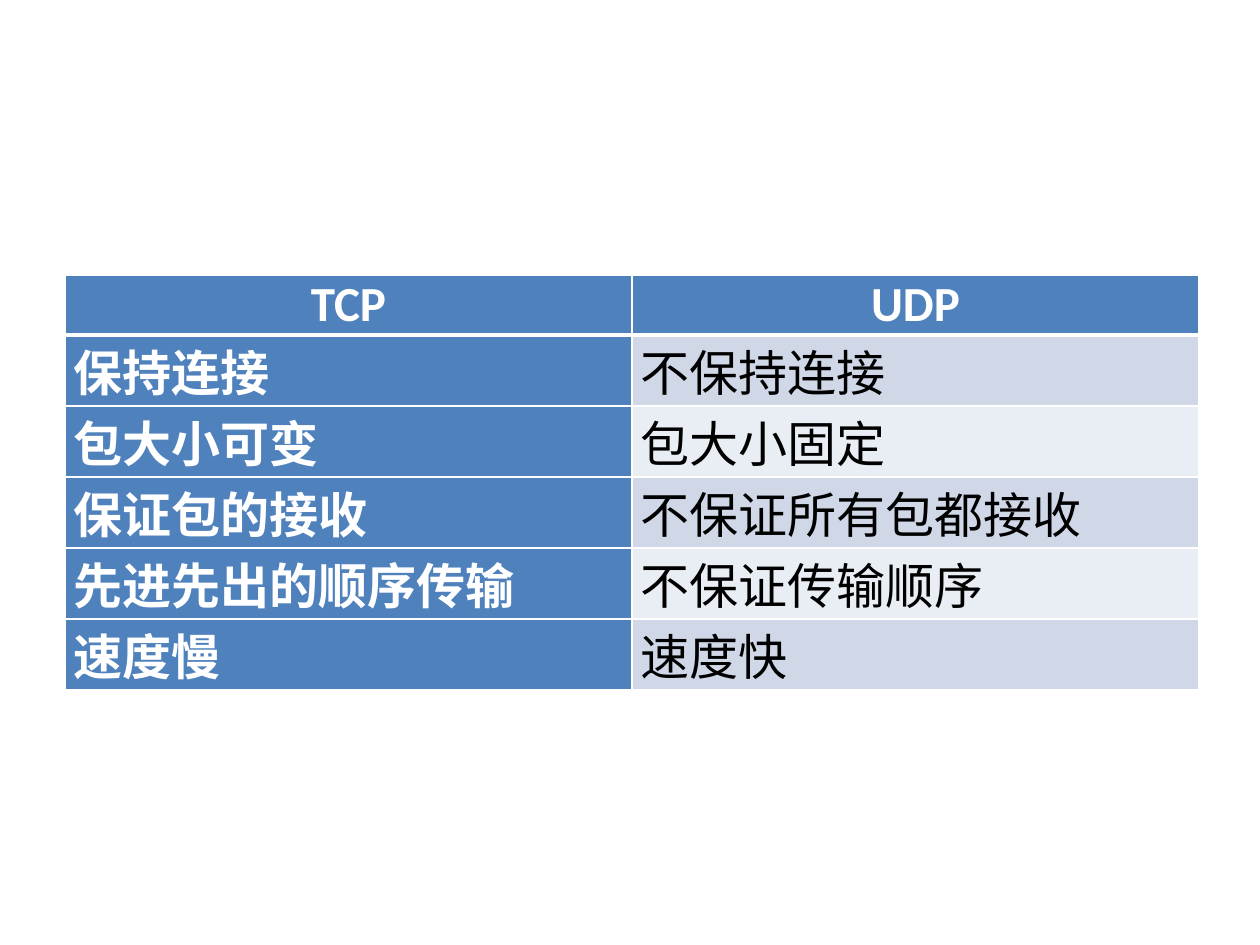
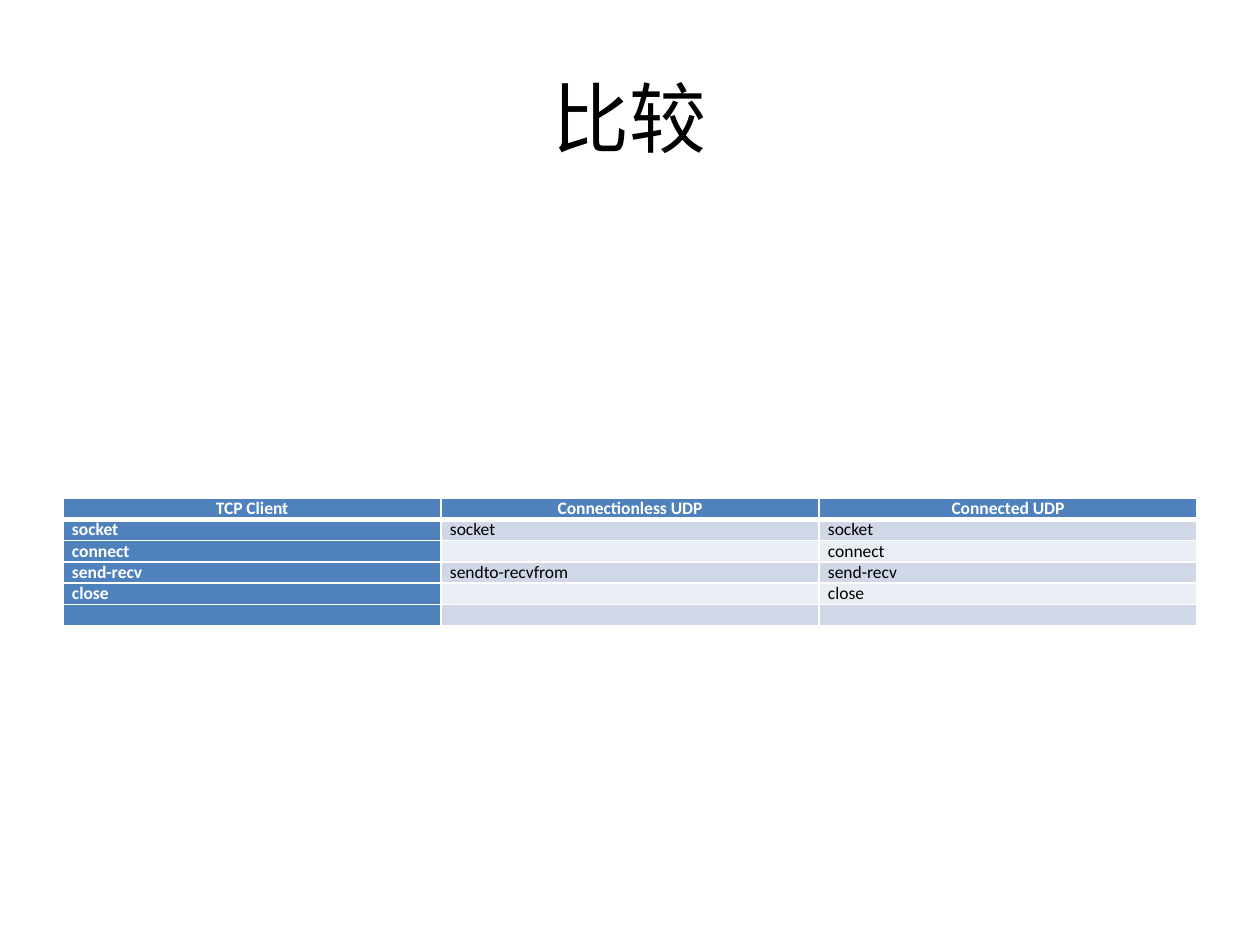
from lxml.etree import SubElement
from pptx import Presentation
from pptx.dml.color import RGBColor
from pptx.enum.text import MSO_ANCHOR, PP_ALIGN
from pptx.oxml.ns import qn
from pptx.util import Emu, Pt

FONT = "Calibri"
WHITE, BLACK, BLUE = "FFFFFF", "000000", "4F81BD"
BANDS = ["E9EDF4", "D0D8E8"]


def px(count):
    return Emu(round(count * 914400 / 126))


def paint(target, color):
    if hasattr(target, "solid"):
        target.solid()
        target = target.fore_color
    target.rgb = RGBColor.from_string(color)


deck = Presentation()
deck.slide_width, deck.slide_height = px(1260), px(945)

first = deck.slides.add_slide(deck.slide_layouts[6])
second = deck.slides.add_slide(deck.slide_layouts[5])

title = second.shapes.title
title.left, title.top, title.width, title.height = px(63), px(38), px(1134), px(157)
frame = title.text_frame
frame.text = "比较"
frame.vertical_anchor = MSO_ANCHOR.MIDDLE
frame.paragraphs[0].alignment = PP_ALIGN.CENTER
font = frame.paragraphs[0].runs[0].font
font.name, font.size = FONT, Pt(44)
paint(font.color, BLACK)

traits = [
    ["TCP", "UDP"],
    ["保持连接", "不保持连接"],
    ["包大小可变", "包大小固定"],
    ["保证包的接收", "不保证所有包都接收"],
    ["先进先出的顺序传输", "不保证传输顺序"],
    ["速度慢", "速度快"],
]
calls = [
    ["TCP Client", "Connectionless UDP", "Connected UDP"],
    ["socket", "socket", "socket"],
    ["connect", "", "connect"],
    ["send-recv", "sendto-recvfrom", "send-recv"],
    ["close", "", "close"],
    ["", "", ""],
]

for slide, data, left, top, head, step, size in [
    (first, traits, 65, 275, 58, 71, 28),
    (second, calls, 63, 498, 21, 21, 10),
]:
    wide = len(data[0])
    tall = head + step * (len(data) - 1)
    grid = slide.shapes.add_table(
        len(data), wide, px(left), px(top), px(1134), px(tall)
    ).table
    grid.first_col = True
    for col in grid.columns:
        col.width = px(1134 // wide)
    for y, line in enumerate(data):
        grid.rows[y].height = px(step if y else head)
        for x, text in enumerate(line):
            cell = grid.cell(y, x)
            cell.margin_left = cell.margin_right = px(9)
            cell.margin_top = cell.margin_bottom = 0
            label = y == 0 or x == 0

            props = cell._tc.get_or_add_tcPr()
            for side in "LRTB":
                thick = (y, side) in [(0, "B"), (1, "T")]
                edge = SubElement(props, qn("a:ln" + side), w=str(Pt(3 if thick else 1)))
                fill = SubElement(edge, qn("a:solidFill"))
                SubElement(fill, qn("a:srgbClr"), val=WHITE)
            paint(cell.fill, BLUE if label else BANDS[y % 2])

            para = cell.text_frame.paragraphs[0]
            para.text = text
            para.alignment = PP_ALIGN.LEFT if y else PP_ALIGN.CENTER
            for run in para.runs:
                font = run.font
                font.name, font.size, font.bold = FONT, Pt(size), label
                paint(font.color, WHITE if label else BLACK)
            if not text:
                SubElement(para._p, qn("a:endParaRPr"), sz=str(size * 100))

deck.save("out.pptx")
